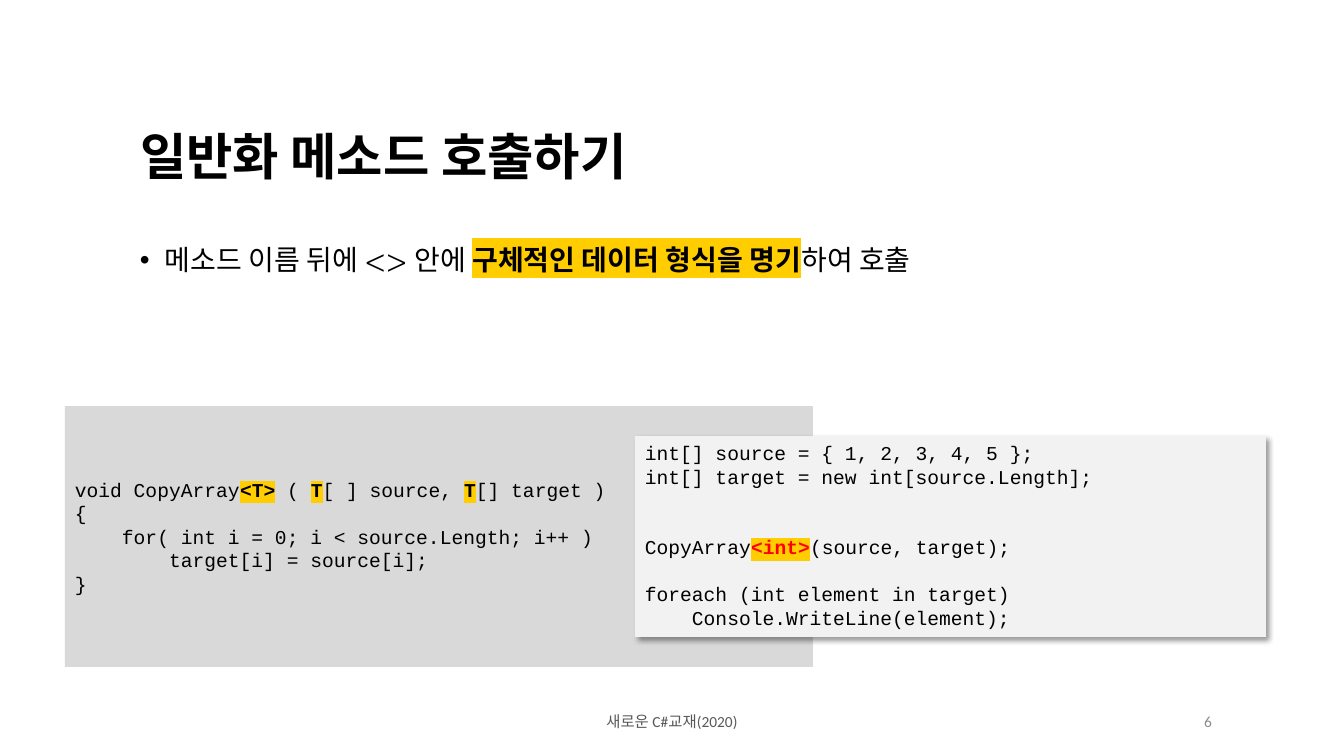
from dataclasses import dataclass

from lxml.etree import SubElement
from pptx import Presentation
from pptx.dml.color import RGBColor
from pptx.enum.shapes import MSO_SHAPE
from pptx.enum.text import MSO_ANCHOR, PP_ALIGN
from pptx.oxml.ns import qn
from pptx.util import Pt


@dataclass(frozen=True)
class Theme:
    black: str = "000000"
    red: str = "FF0000"
    highlight: str = "FFCD00"
    footer: str = "595959"
    page_number: str = "8C8C8C"
    definition_fill: str = "D9D9D9"
    call_fill: str = "F2F2F2"
    heading_font: str = "TeX Gyre Pagella"
    code_font: str = "Courier New"
    footer_font: str = "Calibri"
    title_size: int = 36
    body_size: int = 20
    code_size: int = 14
    footer_size: int = 11
    code_leading: float = 16.8


theme = Theme()
EMU_PER_PX = 914400 / 100.8


def px(*lengths):
    return [round(length * EMU_PER_PX) for length in lengths]


def format_run(run, font, size, color=theme.black, bold=False, highlighted=False):
    run.font.size = Pt(size)
    run.font.bold = bold
    run.font.color.rgb = RGBColor.from_string(color)
    if highlighted:
        highlight = SubElement(run.font._element, qn("a:highlight"))
        SubElement(highlight, qn("a:srgbClr"), val=theme.highlight)
    run.font.name = font


presentation = Presentation()
presentation.slide_width, presentation.slide_height = px(1344, 756)
slide = presentation.slides.add_slide(presentation.slide_layouts[5])

# Title
title = slide.shapes.title
title.left, title.top, title.width, title.height = px(130, 122, 1056, 90)
title.text_frame.text = "일반화 메소드 호출하기"
bullet_box = slide.shapes.add_textbox(*px(130, 236, 1056, 60))
for shape in (title, bullet_box):
    frame = shape.text_frame
    frame.word_wrap = True
    frame.vertical_anchor = MSO_ANCHOR.TOP
    frame.margin_left, frame.margin_top, frame.margin_right, frame.margin_bottom = px(10, 10, 10, 10)
    frame.paragraphs[0].alignment = PP_ALIGN.LEFT
    frame.paragraphs[0].line_spacing = 0.9
format_run(title.text_frame.paragraphs[0].runs[0], theme.heading_font, theme.title_size, bold=True)

# Bullet
paragraph = bullet_box.text_frame.paragraphs[0]
indent = px(25)[0]
properties = paragraph._p.get_or_add_pPr()
properties.set("marL", str(indent))
properties.set("indent", str(-indent))
SubElement(properties, qn("a:buFont"), typeface="Arial")
SubElement(properties, qn("a:buChar"), char="•")
for text, marked in (
    ("메소드 이름 뒤에 <> 안에 ", False),
    ("구체적인 데이터 형식을 명기", True),
    ("하여 호출", False),
):
    run = paragraph.add_run()
    run.text = text
    format_run(run, theme.heading_font, theme.body_size, bold=marked, highlighted=marked)

# Code panels: each line is (blank lines above, pieces); every second piece is marked
definition_lines = [
    (0, ["void CopyArray", "<T>", " ( ", "T", "[ ] source, ", "T", "[] target )"]),
    (0, ["{"]),
    (0, ["    for( int i = 0; i < source.Length; i++ )"]),
    (0, ["        target[i] = source[i];"]),
    (0, ["}"]),
]
call_lines = [
    (0, ["int[] source = { 1, 2, 3, 4, 5 };"]),
    (0, ["int[] target = new int[source.Length];"]),
    (2, ["CopyArray", "<int>", "(source, target);"]),
    (1, ["foreach (int element in target)"]),
    (0, ["    Console.WriteLine(element);"]),
]
for box, fill, anchor, mark_color, lines in (
    ((65, 406, 748, 261), theme.definition_fill, MSO_ANCHOR.MIDDLE, theme.black, definition_lines),
    ((635, 436, 631, 201), theme.call_fill, MSO_ANCHOR.TOP, theme.red, call_lines),
):
    panel = slide.shapes.add_shape(MSO_SHAPE.RECTANGLE, *px(*box))
    panel.shadow.inherit = False
    panel.fill.solid()
    panel.fill.fore_color.rgb = RGBColor.from_string(fill)
    panel.line.fill.background()
    frame = panel.text_frame
    frame.word_wrap = True
    frame.vertical_anchor = anchor
    for index, (blank_lines, pieces) in enumerate(lines):
        paragraph = frame.add_paragraph() if index else frame.paragraphs[0]
        paragraph.alignment = PP_ALIGN.LEFT
        paragraph.line_spacing = Pt(theme.code_leading)
        paragraph.space_before = Pt(blank_lines * theme.code_leading)
        for position, text in enumerate(pieces):
            marked = position % 2 == 1
            run = paragraph.add_run()
            run.text = text
            format_run(run, theme.code_font, theme.code_size,
                       mark_color if marked else theme.black, marked, marked)

# Shadow under the call panel
effects = panel._element.spPr.find(qn("a:effectLst"))
shadow = SubElement(effects, qn("a:outerShdw"), blurRad=str(Pt(4)), dist=str(Pt(3)),
                    dir="2700000", algn="tl", rotWithShape="0")
shadow_color = SubElement(shadow, qn("a:srgbClr"), val=theme.black)
SubElement(shadow_color, qn("a:alpha"), val="40000")

# Footer and page number
for box, text, alignment, color in (
    ((445, 701, 454, 40), "새로운 C#교재(2020)", PP_ALIGN.CENTER, theme.footer),
    ((950, 701, 272, 40), "6", PP_ALIGN.RIGHT, theme.page_number),
):
    footer = slide.shapes.add_textbox(*px(*box))
    frame = footer.text_frame
    frame.word_wrap = True
    frame.vertical_anchor = MSO_ANCHOR.MIDDLE
    frame.text = text
    frame.paragraphs[0].alignment = alignment
    format_run(frame.paragraphs[0].runs[0], theme.footer_font, theme.footer_size, color)

presentation.save("out.pptx")
